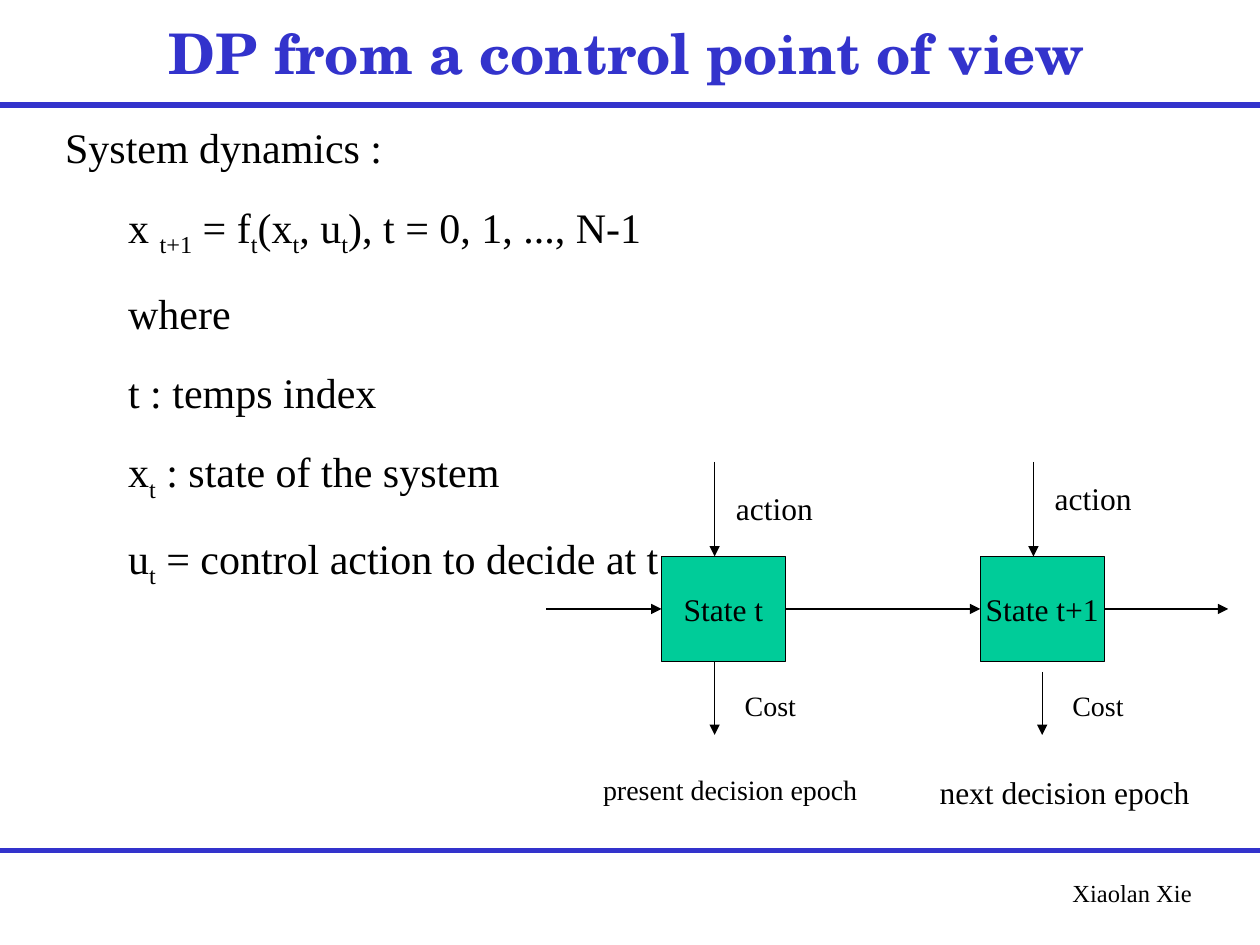
from lxml.etree import SubElement
from pptx import Presentation
from pptx.dml.color import RGBColor
from pptx.enum.shapes import MSO_CONNECTOR, MSO_SHAPE
from pptx.enum.text import MSO_ANCHOR, MSO_AUTO_SIZE, PP_ALIGN
from pptx.oxml.ns import qn
from pptx.util import Inches, Pt

BLUE, GREEN, BLACK = "3333CC", "00CC99", "000000"
prs = Presentation()
prs.slide_width, prs.slide_height = Inches(10), Inches(7.5)
W = prs.slide_width
ROW = prs.slide_height // 90
COL = Inches(0.07)
LEFT = Inches(5.25)
STEP = Inches(2.53)
COL = STEP // 36
s = prs.slides.add_slide(prs.slide_layouts[1])


def add_run(p, text, size, font="Times New Roman", color=BLACK):
    r = p.add_run()
    r.text = text
    r.font.size = Pt(size)
    r.font.name = font
    r.font.color.rgb = RGBColor.from_string(color)
    return r


def add_line(x1, y1, x2, y2, color=BLACK, width=0.75, arrow=True):
    c = s.shapes.add_connector(MSO_CONNECTOR.STRAIGHT, x1, y1, x2, y2)
    c.line.color.rgb = RGBColor.from_string(color)
    c.line.width = Pt(width)
    if arrow:
        SubElement(c.line._get_or_add_ln(), qn("a:tailEnd"), type="triangle")
    SubElement(c._element.spPr, qn("a:effectLst"))
    return c


for row in (81, 10):
    add_line(0, row * ROW, W, row * ROW, BLUE, 3, False)

title = s.shapes.title
title.left, title.top, title.width, title.height = 5 * ROW, ROW, 111 * ROW, 8 * ROW
tf = title.text_frame
tf.vertical_anchor = MSO_ANCHOR.MIDDLE
tf.auto_size = MSO_AUTO_SIZE.NONE
p = tf.paragraphs[0]
p.alignment = PP_ALIGN.CENTER
add_run(p, "DP from a control point of view ", 32, "TeX Gyre Schola", BLUE).font.bold = True

body = s.placeholders[1]
body.left, body.top, body.width, body.height = 5 * ROW, 11 * ROW, 107 * ROW, Inches(3.71)
tf = body.text_frame
tf.auto_size = MSO_AUTO_SIZE.NONE
lines = [
    "System dynamics :",
    "x |t+1| = f|t|(x|t|, u|t|), t = 0, 1, ..., N-1",
    "where",
    "t : temps index",
    "x|t| : state of the system",
    "u|t| = control action to decide at t",
]
for i, line in enumerate(lines):
    p = tf.paragraphs[0] if i == 0 else tf.add_paragraph()
    p.level = min(i, 1)
    p.space_before = Pt(16.5 if i else 0)
    pPr = p._p.get_or_add_pPr()
    pPr.set("marL", str(p.level * 6 * ROW))
    pPr.set("indent", "0")
    SubElement(pPr, qn("a:buNone"))
    for j, part in enumerate(line.split("|")):
        r = add_run(p, part, 24)
        if j % 2:
            r._r.get_or_add_rPr().set("baseline", "-25000")

states = []
for i, name in enumerate(("State t", "State t+1")):
    box = s.shapes.add_shape(MSO_SHAPE.RECTANGLE, LEFT + i * STEP, 53 * ROW, 14 * COL, 10 * ROW)
    box.shadow.inherit = False
    box.fill.solid()
    box.fill.fore_color.rgb = RGBColor.from_string(GREEN)
    box.line.color.rgb = RGBColor.from_string(BLACK)
    box.line.width = Pt(0.75)
    tf = box.text_frame
    tf.word_wrap = False
    tf.vertical_anchor = MSO_ANCHOR.MIDDLE
    p = tf.paragraphs[0]
    p.alignment = PP_ALIGN.CENTER
    add_run(p, name, 18)
    states.append(box)

flows = [(-13, 0, None, states[0]), (14, 36, states[0], states[1]), (50, 64, states[1], None)]
for start, end, source, target in flows:
    c = add_line(LEFT + start * COL, 58 * ROW, LEFT + end * COL, 58 * ROW)
    if source:
        c.begin_connect(source, 3)
    if target:
        c.end_connect(target, 1)

for col, top, bottom in [(6, 44, 53), (6, 63, 70), (42, 44, 53), (43, 64, 70)]:
    add_line(LEFT + col * COL, top * ROW, LEFT + col * COL, bottom * ROW)

labels = [
    ("action", 7, 46, 12, 18, PP_ALIGN.LEFT),
    ("action", 43, 45, 12, 18, PP_ALIGN.LEFT),
    ("Cost", 8, 65, 12, 16, PP_ALIGN.LEFT),
    ("Cost", 45, 65, 12, 16, PP_ALIGN.LEFT),
    ("present decision epoch", -8, 73, 33, 16, PP_ALIGN.LEFT),
    ("next decision epoch", 30, 73, 33, 18, PP_ALIGN.LEFT),
    ("Xiaolan Xie", 29.3, 83, 32, 14, PP_ALIGN.RIGHT),
]
for text, col, row, cols, size, align in labels:
    tb = s.shapes.add_textbox(LEFT + int(col * COL), row * ROW, cols * COL, Pt(size * 1.15 + 7.2))
    tf = tb.text_frame
    tf.word_wrap = True
    p = tf.paragraphs[0]
    p.alignment = align
    add_run(p, text, size)

prs.save("out.pptx")
